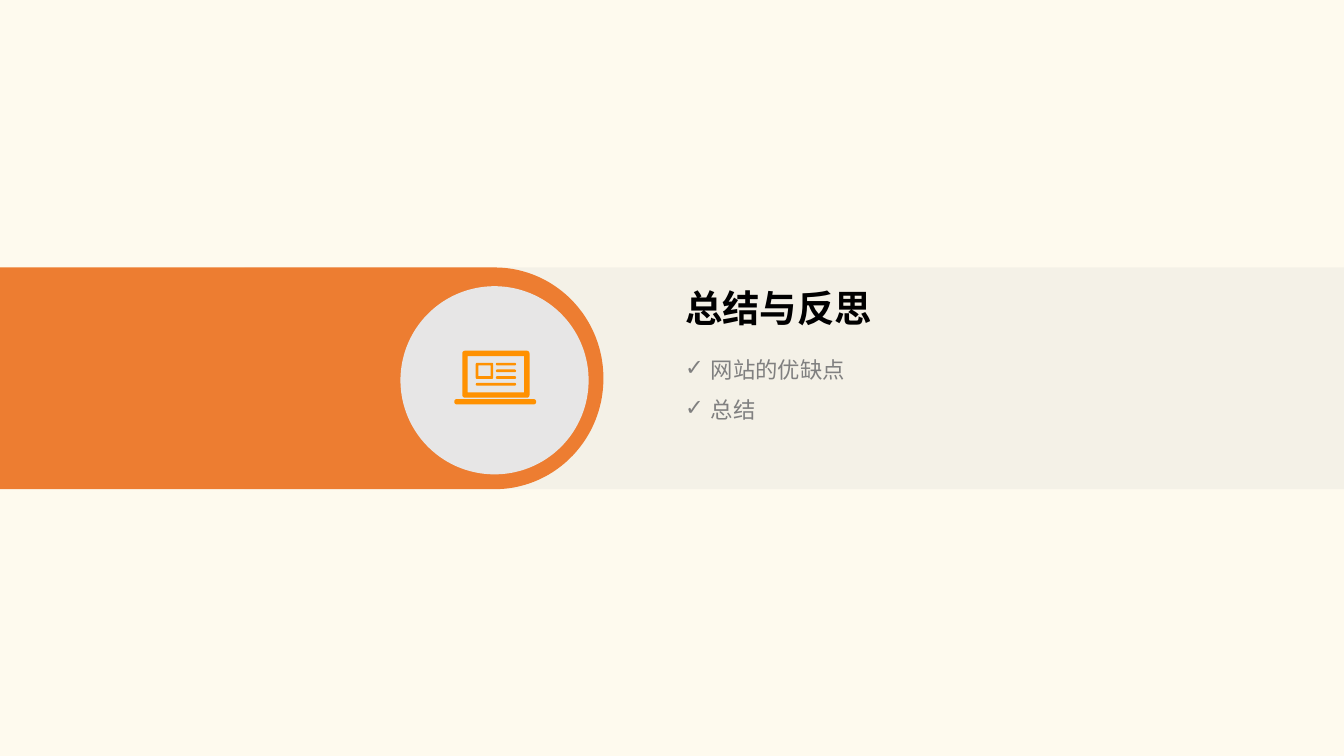
from math import cos, pi, sin

from lxml.etree import SubElement
from pptx import Presentation
from pptx.dml.color import RGBColor
from pptx.enum.shapes import MSO_SHAPE as Preset
from pptx.enum.text import MSO_AUTO_SIZE as AutoSize
from pptx.oxml.ns import qn
from pptx.util import Inches, Pt

HEADING = "总结与反思"
TOPICS = ["网站的优缺点", "总结"]
FONT = "Arial Narrow"

BAND_TOP, BAND_HEIGHT = 1.99, 1.65
TAB_STRAIGHT, TAB_RIGHT = 3.68, 4.49
TEXT_LEFT = 5

# Laptop parts: left, top, right, bottom, corner radius
LAPTOP = [
    (3.44, 2.61, 3.94, 2.96, 0.02),  # lid
    (3.48, 2.65, 3.90, 2.92, 0),     # screen opening
    (3.54, 2.70, 3.67, 2.82, 0.01),  # picture frame
    (3.56, 2.72, 3.65, 2.80, 0),     # frame opening
    (3.38, 2.97, 3.99, 3.01, 0.02),  # base
]
LAPTOP += [(3.69, 2.70 + 0.05 * row, 3.84, 2.72 + 0.05 * row, 0.01)
           for row in range(3)]
LAPTOP.append((3.54, 2.85, 3.84, 2.87, 0.01))


def rgb(code):
    """Turn a hex string into a colour."""
    return RGBColor.from_string(code)


def paint(shape, colour, alpha=None):
    """Give a shape a plain fill, without line or shadow."""
    shape.shadow.inherit = False
    shape.fill.solid()
    shape.fill.fore_color.rgb = rgb(colour)
    shape.line.fill.background()
    if alpha is not None:
        tint = shape.element.spPr.find(qn("a:solidFill"))[0]
        SubElement(tint, qn("a:alpha"), val=str(alpha * 1000))


def add_preset(shapes, preset, box, colour, alpha=None):
    """Add a filled preset shape; box is in inches."""
    shape = shapes.add_shape(preset, *map(Inches, box))
    paint(shape, colour, alpha)


def arc(cx, cy, rx, ry, start, end, steps):
    """List the points of an elliptical arc."""
    angles = [start + (end - start) * i / steps for i in range(steps + 1)]
    return [(cx + rx * cos(a), cy + ry * sin(a)) for a in angles]


def rounded(left, top, right, bottom, radius):
    """List the outline of a rectangle with rounded corners."""
    corners = [(right - radius, bottom - radius), (left + radius, bottom - radius),
               (left + radius, top + radius), (right - radius, top + radius)]
    if not radius:
        return corners
    return [point for i, (x, y) in enumerate(corners)
            for point in arc(x, y, radius, radius, i * pi / 2, (i + 1) * pi / 2, 5)]


def add_outline(shapes, contours, colour):
    """Add one freeform made of closed contours in inches."""
    emu = [[(Inches(x), Inches(y)) for x, y in contour] for contour in contours]
    builder = shapes.build_freeform(*emu[0][0])
    for i, contour in enumerate(emu):
        if i:
            builder.move_to(*contour[0])
        builder.add_line_segments(contour[1:], close=True)
    paint(builder.convert_to_shape(), colour)


def add_text(shapes, lines, box, size, colour, bold=False, wrap=True,
             spacing=None, bullet=None):
    """Add a text box with one paragraph per line."""
    frame = shapes.add_textbox(*map(Inches, box)).text_frame
    frame.word_wrap = wrap
    frame.auto_size = AutoSize.SHAPE_TO_FIT_TEXT
    for i, line in enumerate(lines):
        paragraph = frame.add_paragraph() if i else frame.paragraphs[0]
        if spacing:
            paragraph.line_spacing = spacing
        if bullet:
            props = paragraph._p.get_or_add_pPr()
            props.set("marL", str(Inches(0.19)))
            props.set("indent", str(-Inches(0.19)))
            SubElement(props, qn("a:buFont"), typeface=FONT)
            SubElement(props, qn("a:buChar"), char=bullet)
        run = paragraph.add_run()
        run.text = line
        run.font.name, run.font.size, run.font.bold = FONT, Pt(size), bold
        run.font.color.rgb = rgb(colour)


deck = Presentation()
deck.slide_width = Inches(10)
deck.slide_height = deck.slide_width * 9 // 16
slide = deck.slides.add_slide(deck.slide_layouts[6])
slide.background.fill.solid()
slide.background.fill.fore_color.rgb = rgb("FEFAEE")
shapes = slide.shapes

add_preset(shapes, Preset.RECTANGLE, (1.82, BAND_TOP, 8.18, BAND_HEIGHT), "D0CECE", 20)
tab_end = arc(TAB_STRAIGHT, BAND_TOP + BAND_HEIGHT / 2, TAB_RIGHT - TAB_STRAIGHT,
              BAND_HEIGHT / 2, -pi / 2, pi / 2, 90)
add_outline(shapes, [[(0, BAND_TOP), *tab_end, (0, BAND_TOP + BAND_HEIGHT)]], "ED7D31")

add_text(shapes, TOPICS, (TEXT_LEFT, 2.5, 1.4, 0.67), 12, "808080",
         wrap=False, spacing=1.5, bullet="✓")
add_text(shapes, [HEADING], (TEXT_LEFT, 2.07, 3.23, 0.44), 20, "000000", bold=True)

badge = shapes.add_group_shape().shapes
add_preset(badge, Preset.OVAL, (2.98, 2.13, 1.4, 1.4), "E7E6E6")
add_outline(badge, [rounded(*part) for part in LAPTOP], "FF9101")

deck.save("out.pptx")
